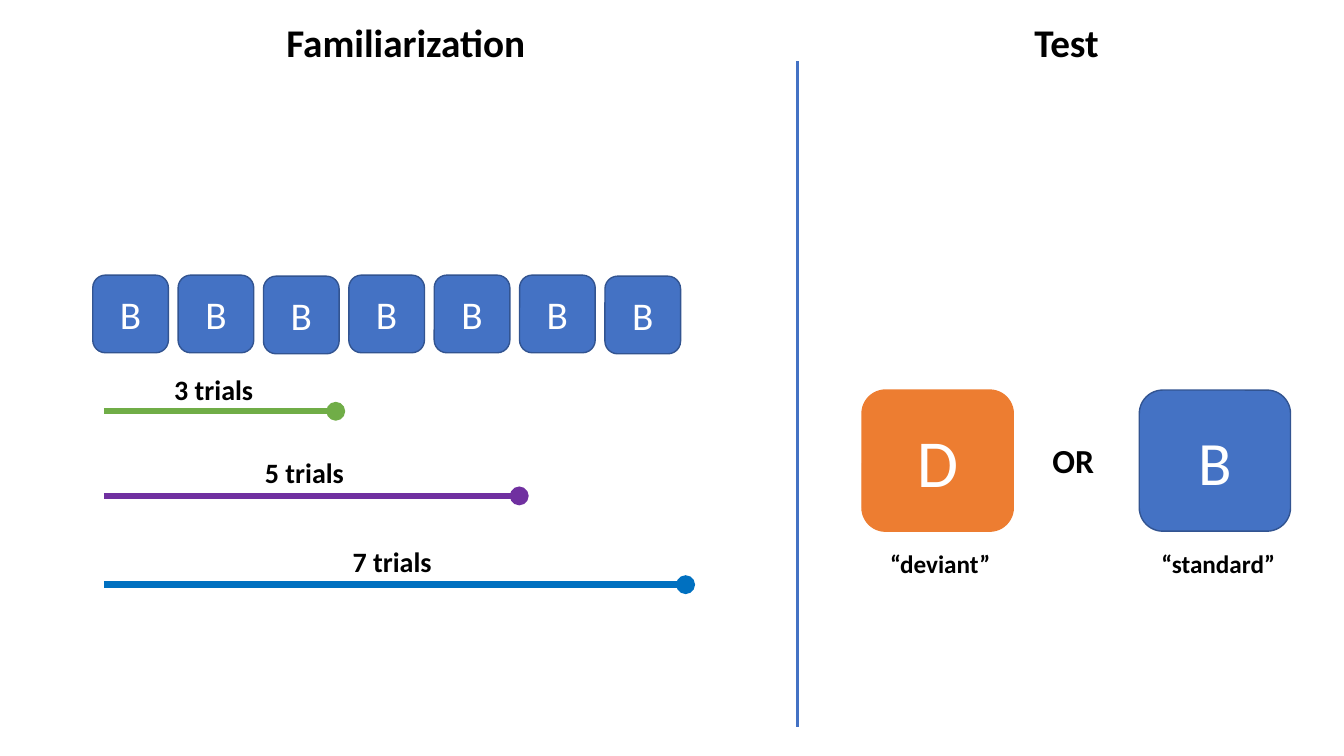
from lxml import etree
from pptx import Presentation
from pptx.dml.color import RGBColor
from pptx.enum.shapes import MSO_CONNECTOR, MSO_SHAPE
from pptx.enum.text import MSO_ANCHOR, MSO_AUTO_SIZE, PP_ALIGN
from pptx.oxml.ns import qn
from pptx.util import Inches, Pt

LINE = MSO_CONNECTOR.STRAIGHT
ROUND = MSO_SHAPE.ROUNDED_RECTANGLE
TOP, MIDDLE = MSO_ANCHOR.TOP, MSO_ANCHOR.MIDDLE
LEFT, CENTER = PP_ALIGN.LEFT, PP_ALIGN.CENTER
GROW = MSO_AUTO_SIZE.SHAPE_TO_FIT_TEXT
FONT = "Calibri"
COLORS = {
    "black": "000000", "white": "FFFFFF", "blue": "4472C4", "navy": "325491",
    "orange": "ED7D31", "green": "70AD47", "purple": "7030A0", "azure": "0070C0",
}


class Board:
    """Draws styled elements on one slide."""

    def __init__(self, slide):
        self.slide = slide

    def color(self, name):
        return RGBColor.from_string(COLORS[name])

    def letter(self, shape, text, size, color, align, bold):
        frame = shape.text_frame
        frame.word_wrap = True
        frame.text = text
        para = frame.paragraphs[0]
        para.alignment = align
        font = para.font
        font.name, font.size, font.bold = FONT, Pt(size), bold
        font.color.rgb = self.color(color)
        return frame

    def title(self, text, left, top, width, height, size):
        shape = self.slide.shapes.title
        shape.left, shape.top = Inches(left), Inches(top)
        shape.width, shape.height = Inches(width), Inches(height)
        frame = self.letter(shape, text, size, "black", LEFT, True)
        frame.vertical_anchor = TOP
        frame.auto_size = GROW

    def label(self, text, left, top, width, height, size):
        box = self.slide.shapes.add_textbox(
            Inches(left), Inches(top), Inches(width), Inches(height))
        self.letter(box, text, size, "black", LEFT, True).auto_size = GROW

    def card(self, text, left, top, width, height, size, fill="blue", edge="navy"):
        shape = self.slide.shapes.add_shape(
            ROUND, Inches(left), Inches(top), Inches(width), Inches(height))
        shape.shadow.inherit = False
        shape.fill.solid()
        shape.fill.fore_color.rgb = self.color(fill)
        shape.line.color.rgb = self.color(edge)
        shape.line.width = Pt(1)
        frame = self.letter(shape, text, size, "white", CENTER, False)
        frame.vertical_anchor = MIDDLE

    def rule(self, x1, y1, x2, y2, color, width, dot=False):
        line = self.slide.shapes.add_connector(
            LINE, Inches(x1), Inches(y1), Inches(x2), Inches(y2))
        line.line.color.rgb = self.color(color)
        line.line.width = Pt(width)
        props = line._element.spPr
        if dot:
            stroke = props.find(qn("a:ln"))
            etree.SubElement(stroke, qn("a:tailEnd")).set("type", "oval")
        etree.SubElement(props, qn("a:effectLst"))


def main():
    deck = Presentation()
    deck.slide_width, deck.slide_height = Inches(13.33), Inches(7.5)
    board = Board(deck.slides.add_slide(deck.slide_layouts[5]))

    board.title("Familiarization", 2.74, 0.13, 3.68, 0.57, 28)
    board.label("Test", 10.16, 0.13, 2.52, 0.57, 28)
    board.rule(7.91, 0.61, 7.91, 7.21, "blue", 2.25)

    count, first, last = 7, 0.92, 6
    step = (last - first) / (count - 1)
    for i in range(count):
        top = 2.74 if i % 4 == 2 else 2.73
        board.card("B", first + i * step, top, 0.75, 0.77, 28)

    trials = [
        (3, 3.33, 4.08, "green", 1.63, 3.65),
        (5, 5.15, 4.92, "purple", 2.53, 4.47),
        (7, 6.8, 5.8, "azure", 3.4, 5.35),
    ]
    for number, end, y, color, left, top in trials:
        board.rule(1.03, y, end, y, color, 4.5, dot=True)
        board.label(f"{number} trials", left, top, 1.66, 0.44, 20)

    board.card("D", 8.55, 3.87, 1.5, 1.4, 48, "orange", "orange")
    board.label("OR", 10.34, 4.32, 0.69, 0.5, 24)
    board.card("B", 11.3, 3.87, 1.5, 1.4, 44)
    board.label("“deviant”", 8.73, 5.39, 1.34, 0.4, 18)
    board.label("“standard”", 11.42, 5.39, 1.61, 0.4, 18)

    deck.save("out.pptx")


if __name__ == "__main__":
    main()
